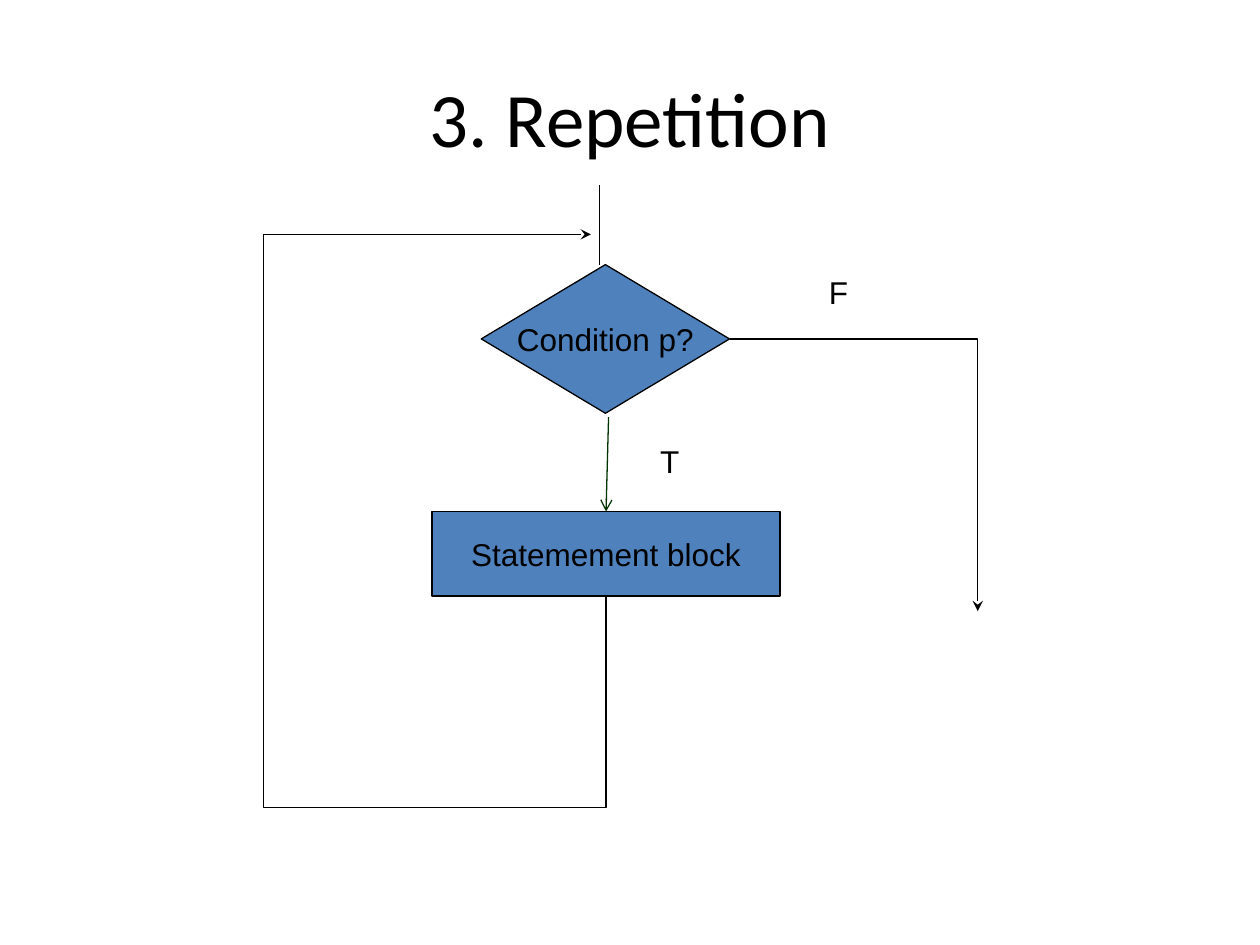
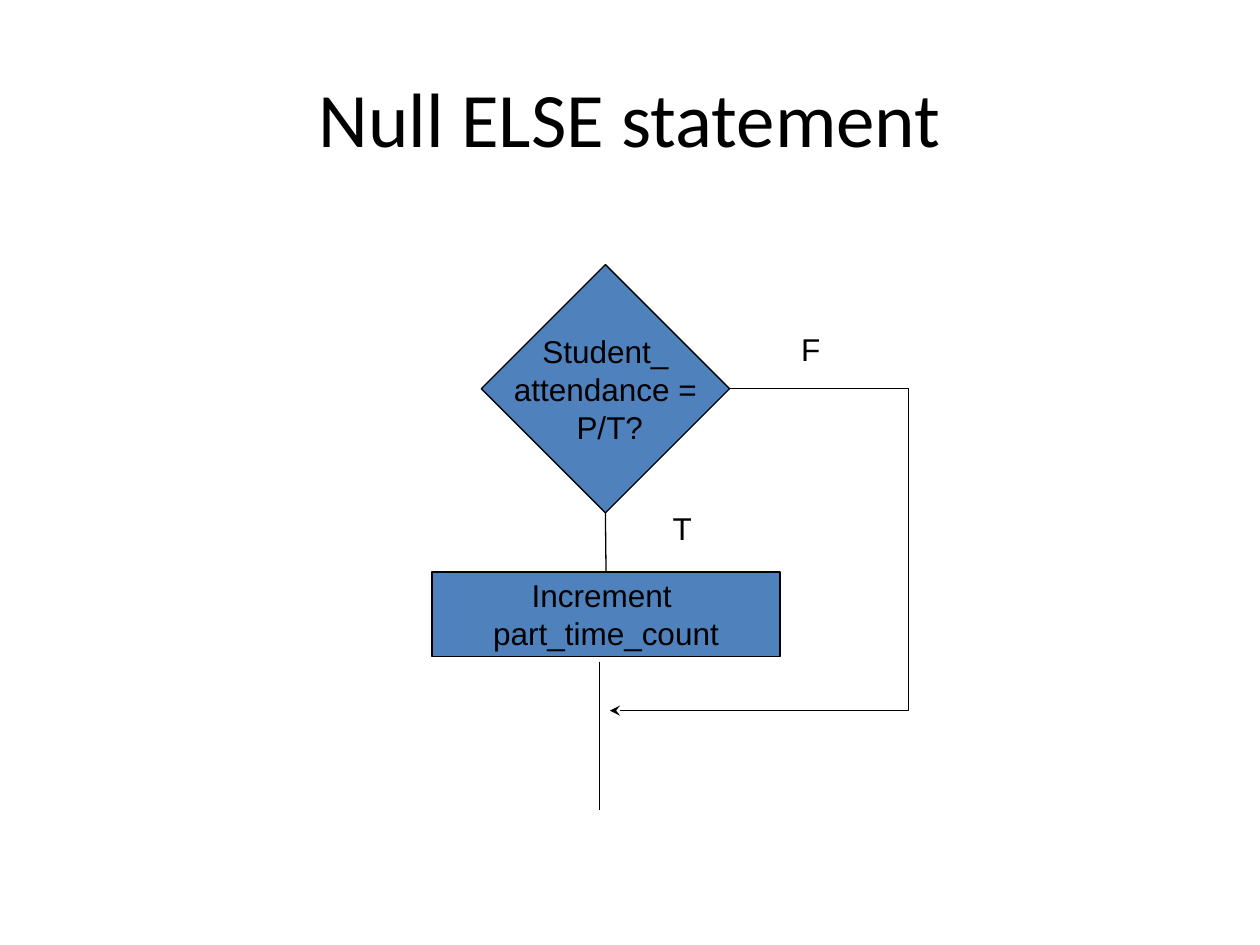
from lxml import etree
from pptx import Presentation
from pptx.dml.color import RGBColor
from pptx.enum import shapes, text
from pptx.oxml import ns
from pptx.util import Inches, Pt

COLORS = {"fill": "4F81BD", "ink": "000000", "green": "003300", "paper": "FFFFFF"}
FONTS = {"title": "Calibri", "body": "Arial"}
KINDS = {
    "decision": (shapes.MSO_SHAPE.FLOWCHART_DECISION, 3.82, 1.97),
    "process": (shapes.MSO_SHAPE.FLOWCHART_PROCESS, 3.43, 2.76),
}
TOP, LEFT, BOTTOM, RIGHT = range(4)

# Nodes: text, top, height. Lines: start, end, colour, head.
# Bends: start, end, position of the middle leg (None for one corner), head.
SLIDES = [
    {
        "title": "3. Repetition",
        "nodes": {
            "decision": ("Condition p?", 2.1, 1.18),
            "process": ("Statemement block", 4.06, 0.67),
        },
        "labels": [("T", 5.14, 3.46), ("F", 6.48, 2.12)],
        "bends": [
            (("decision", RIGHT), (7.76, 4.85), None, "stealth"),
            (("process", BOTTOM), (2.09, 1.86), 6.41, None),
        ],
        "lines": [
            ((2.09, 1.86), (4.69, 1.86), "ink", "stealth"),
            ((4.76, 1.47), (4.76, 2.1), "ink", None),
            ((4.83, 3.31), ("process", TOP), "green", "arrow"),
        ],
    },
    {
        "title": "Null ELSE statement",
        "nodes": {
            "decision": ("Student_\nattendance =\n P/T?", 2.1, 1.97),
            "process": ("Increment \npart_time_count", 4.54, 0.67),
        },
        "labels": [("T", 5.24, 3.99), ("F", 6.26, 2.57)],
        "bends": [(("decision", RIGHT), (4.84, 5.64), 7.21, "stealth")],
        "lines": [
            (("decision", BOTTOM), ("process", TOP), "ink", None),
            ((4.76, 5.25), (4.76, 6.43), "ink", None),
        ],
    },
]


def rgb(name):
    return RGBColor.from_string(COLORS[name])


def write(shape, words, font, size, align):
    tf = shape.text_frame
    tf.text = words
    for p in tf.paragraphs:
        p.alignment = align
        for r in p.runs:
            r.font.name = FONTS[font]
            r.font.size = Pt(size)
            r.font.color.rgb = rgb("ink")
    return tf


def add_title(s, words):
    title = s.shapes.title
    title.left, title.top, title.width, title.height = map(Inches, (0.5, 0.3, 9, 1.25))
    tf = write(title, words, "title", 44, text.PP_ALIGN.CENTER)
    tf.vertical_anchor = text.MSO_ANCHOR.MIDDLE


def add_node(s, kind, words, top, height):
    preset, left, width = KINDS[kind]
    sp = s.shapes.add_shape(preset, *map(Inches, (left, top, width, height)))
    sp.shadow.inherit = False
    sp.fill.solid()
    sp.fill.fore_color.rgb = rgb("fill")
    sp.line.color.rgb = rgb("ink")
    sp.line.width = Pt(0.75)
    tf = write(sp, words, "body", 18, text.PP_ALIGN.CENTER)
    tf.vertical_anchor = text.MSO_ANCHOR.MIDDLE
    tf.word_wrap = False
    return sp


def add_label(s, words, left, top):
    box = s.shapes.add_textbox(*map(Inches, (left, top, 0.35, 0.4)))
    tf = write(box, words, "body", 18, text.PP_ALIGN.LEFT)
    tf.word_wrap = False
    tf.auto_size = text.MSO_AUTO_SIZE.SHAPE_TO_FIT_TEXT


def locate(point, nodes):
    if point[0] not in nodes:
        return Inches(point[0]), Inches(point[1])
    sp = nodes[point[0]]
    across, down = [(0.5, 0), (0, 0.5), (0.5, 1), (1, 0.5)][point[1]]
    return int(sp.left + across * sp.width), int(sp.top + down * sp.height)


def add_line(s, nodes, start, end, color, head, kind=shapes.MSO_CONNECTOR.STRAIGHT):
    line = s.shapes.add_connector(kind, *locate(start, nodes), *locate(end, nodes))
    for point, connect in ((start, line.begin_connect), (end, line.end_connect)):
        if point[0] in nodes:
            connect(nodes[point[0]], point[1])
    line.line.color.rgb = rgb(color)
    line.line.width = Pt(0.75)
    if head:
        ln = line.line._get_or_add_ln()
        etree.SubElement(ln, ns.qn("a:tailEnd"), type=head)
    etree.SubElement(line._element.spPr, ns.qn("a:effectLst"))
    return line


def turn_upright(line):
    width, height = line.width, line.height
    line.left += (width - height) // 2
    line.top += (height - width) // 2
    line.width, line.height = height, width
    xfrm = line._element.spPr.find(ns.qn("a:xfrm"))
    xfrm.set("rot", str(270 * 60000))
    xfrm.set("flipH", "0")
    xfrm.set("flipV", "1")


def add_bend(s, nodes, start, end, leg, head):
    line = add_line(s, nodes, start, end, "ink", head, shapes.MSO_CONNECTOR.ELBOW)
    geom = line._element.spPr.find(ns.qn("a:prstGeom"))
    if leg is None:
        geom.set("prst", "bentConnector2")
        return
    axis = 1 if start[1] == BOTTOM else 0
    first, last = locate(start, nodes)[axis], locate(end, nodes)[axis]
    share = (Inches(leg) - first) / (last - first)
    guides = geom.find(ns.qn("a:avLst"))
    if guides is None:
        guides = etree.SubElement(geom, ns.qn("a:avLst"))
    etree.SubElement(guides, ns.qn("a:gd"), name="adj1",
                     fmla=f"val {round(share * 100000)}")
    if axis:
        turn_upright(line)


def build_slide(prs, content):
    s = prs.slides.add_slide(prs.slide_layouts[5])
    s.background.fill.solid()
    s.background.fill.fore_color.rgb = rgb("paper")
    add_title(s, content["title"])
    nodes = {kind: add_node(s, kind, *node) for kind, node in content["nodes"].items()}
    for label in content["labels"]:
        add_label(s, *label)
    for bend in content["bends"]:
        add_bend(s, nodes, *bend)
    for line in content["lines"]:
        add_line(s, nodes, *line)


def main():
    prs = Presentation()
    prs.slide_width, prs.slide_height = Inches(10), Inches(7.5)
    for content in SLIDES:
        build_slide(prs, content)
    prs.save("out.pptx")


if __name__ == "__main__":
    main()
